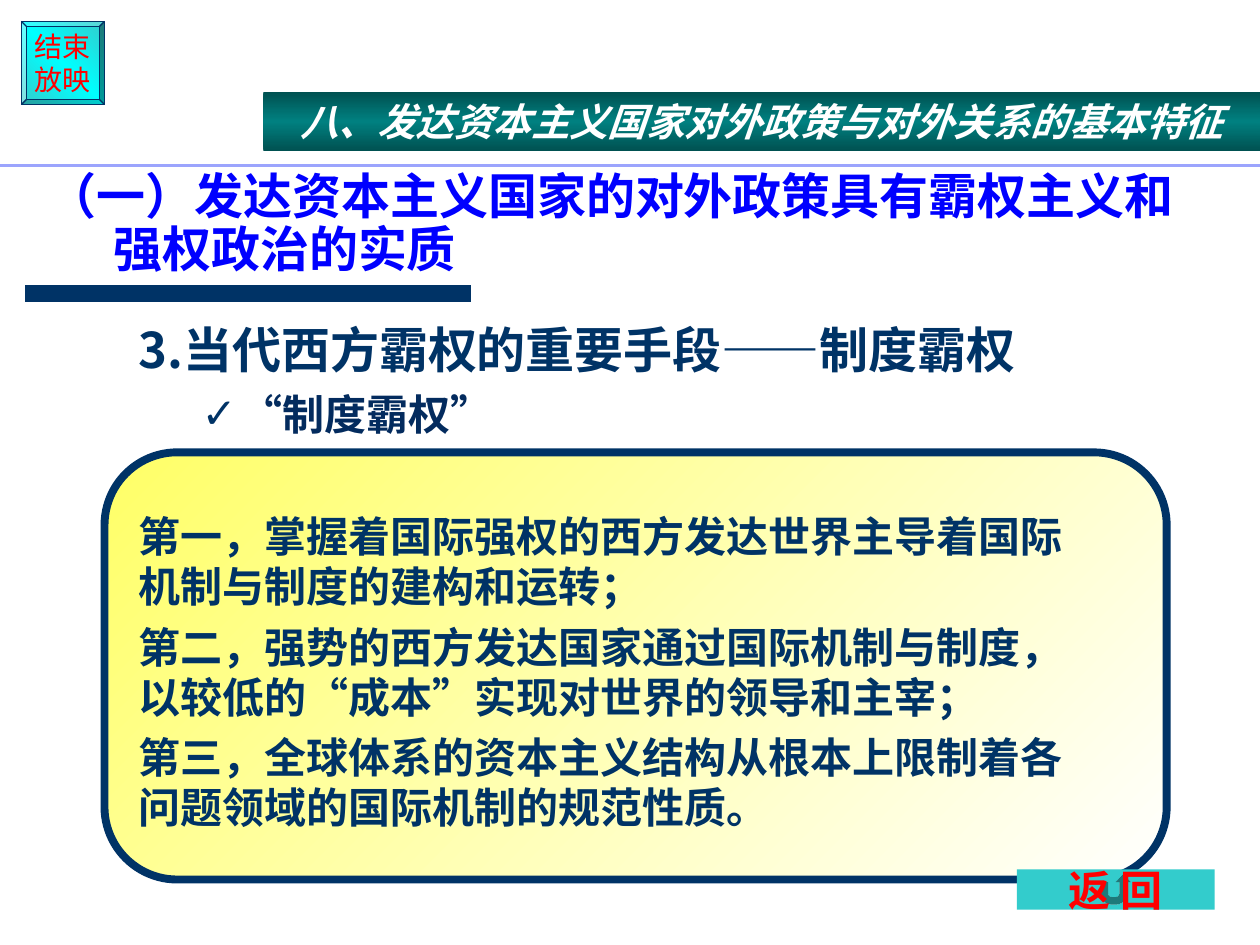
from dataclasses import dataclass
from typing import Optional

from lxml import etree
from pptx import Presentation
from pptx import util as u
from pptx.dml.color import RGBColor
from pptx.enum import shapes, text
from pptx.oxml.ns import qn

COLORS = {
    "navy": "003366", "ink": "032B5E", "blue": "0000FF", "red": "FF0000",
    "white": "FFFFFF", "yellow": "FFFF66", "teal": "33CCCC", "cyan": "00FFFF",
    "green": "008080", "dark_green": "005151", "lilac": "9BA4FD",
}
WIDTH, HEIGHT = u.Inches(10), u.Inches(7.5)
CJK = "Noto Sans CJK SC"
LEADING = 1.19


@dataclass(frozen=True)
class Box:
    """Left, top, width and height in percent of the slide."""
    x: float
    y: float
    w: float
    h: float

    def emu(self) -> tuple[int, int, int, int]:
        """Return the box in EMU."""
        return (int(WIDTH * self.x / 100), int(HEIGHT * self.y / 100),
                int(WIDTH * self.w / 100), int(HEIGHT * self.h / 100))


@dataclass(frozen=True)
class Style:
    """Type settings shared by paragraphs."""
    size: float
    color: str
    font: str = CJK
    bold: bool = True
    italic: bool = False
    align: text.PP_ALIGN = text.PP_ALIGN.LEFT
    before: float = 0
    leading: float = LEADING


@dataclass(frozen=True)
class Panel:
    """A filled preset shape with its text."""
    kind: shapes.MSO_SHAPE
    box: Box
    stops: tuple[str, ...]
    angle: int
    lines: tuple[str, ...]
    style: Style
    border: float = 0
    adjust: Optional[float] = None
    wrap: bool = True
    insets: tuple[float, float] = (0.1, 0.05)


CENTER = text.PP_ALIGN.CENTER
POINTS = (
    "第一，掌握着国际强权的西方发达世界主导着国际机制与制度的建构和运转；",
    "第二，强势的西方发达国家通过国际机制与制度，以较低的“成本”实现对世界的领导和主宰；",
    "第三，全球体系的资本主义结构从根本上限制着各问题领域的国际机制的规范性质。",
)
PANELS = (
    Panel(shapes.MSO_SHAPE.BEVEL, Box(1.7, 2.27, 6.6, 8.8), ("teal", "cyan", "teal"), 135,
          ("结束", "放映"), Style(16, "red", "Arial", False, align=CENTER), 0.75, 0.06, False),
    Panel(shapes.MSO_SHAPE.ROUNDED_RECTANGLE, Box(8.3, 47.87, 84.3, 45.2), ("white", "yellow"), 225,
          POINTS, Style(24, "navy", before=6), 4.5, 0.17, insets=(0.39, 0.14)),
    Panel(shapes.MSO_SHAPE.ACTION_BUTTON_RETURN, Box(80.7, 92, 15.7, 4.27), ("teal",), 0,
          ("返 回",), Style(24, "red", "Arial", align=CENTER), wrap=False),
    Panel(shapes.MSO_SHAPE.RECTANGLE, Box(20.9, 9.73, 79.1, 6.27),
          ("dark_green", "green", "dark_green"), 90,
          ("八、发达资本主义国家对外政策与对外关系的基本特征",),
          Style(22, "white", italic=True, align=CENTER)),
)


def rgb(name: str) -> RGBColor:
    """Look up a palette colour."""
    return RGBColor.from_string(COLORS[name])


def write(p, content: str, style: Style, first: bool = True) -> None:
    """Fill and format one paragraph."""
    p.text = content
    p.alignment = style.align
    p.line_spacing = u.Pt(round(style.size * style.leading, 1))
    p.space_before = u.Pt(0 if first else style.before)
    f = p.font
    f.name, f.size, f.bold, f.italic = style.font, u.Pt(style.size), style.bold, style.italic
    f.color.rgb = rgb(style.color)
    for r in p.runs:
        ea = etree.SubElement(r._r.get_or_add_rPr(), qn("a:ea"))
        ea.set("typeface", CJK)


def indent(p, left: float, hanging: float, bullet: str = "", color: str = "navy") -> None:
    """Set a hanging indent in inches and an optional bullet."""
    pr = p._p.get_or_add_pPr()
    pr.set("marL", str(u.Inches(left)))
    pr.set("indent", str(-u.Inches(hanging)))
    if bullet:
        clr = etree.SubElement(pr, qn("a:buClr"))
        etree.SubElement(clr, qn("a:srgbClr")).set("val", COLORS[color])
        etree.SubElement(pr, qn("a:buChar")).set("char", bullet)
    else:
        etree.SubElement(pr, qn("a:buNone"))


def paint(sp, stops: tuple[str, ...], angle: int) -> None:
    """Fill a shape with one colour or evenly spaced gradient stops."""
    if len(stops) == 1:
        sp.fill.solid()
        sp.fill.fore_color.rgb = rgb(stops[0])
        return
    sp.fill.gradient()
    grad = sp._element.spPr.find(qn("a:gradFill"))
    gs_list = grad.find(qn("a:gsLst"))
    for gs in list(gs_list):
        gs_list.remove(gs)
    for i, name in enumerate(stops):
        gs = etree.SubElement(gs_list, qn("a:gs"), pos=str(100000 * i // (len(stops) - 1)))
        etree.SubElement(gs, qn("a:srgbClr")).set("val", COLORS[name])
    grad.find(qn("a:lin")).set("ang", str(angle * 60000))


def draw_panel(s, panel: Panel) -> None:
    """Draw a panel and its text."""
    sp = s.shapes.add_shape(panel.kind, *panel.box.emu())
    sp.shadow.inherit = False
    if panel.adjust is not None:
        sp.adjustments[0] = panel.adjust
    paint(sp, panel.stops, panel.angle)
    if panel.border:
        sp.line.color.rgb = rgb("navy")
        sp.line.width = u.Pt(panel.border)
    else:
        sp.line.fill.background()
    tf = sp.text_frame
    tf.word_wrap = panel.wrap
    tf.vertical_anchor = text.MSO_ANCHOR.MIDDLE
    tf.margin_left = u.Inches(0.1)
    tf.margin_right, tf.margin_top = map(u.Inches, panel.insets)
    tf.margin_bottom = u.Inches(0.05)
    for i, line in enumerate(panel.lines):
        write(tf.add_paragraph() if i else tf.paragraphs[0], line, panel.style, i == 0)


def draw_rule(s, left: float, right: float, y: float, color: str, width: float) -> None:
    """Draw a horizontal rule placed in percent of the slide."""
    x, top, w, _ = Box(left, y, right - left, 0).emu()
    line = s.shapes.add_connector(shapes.MSO_CONNECTOR.STRAIGHT, x, top, x + w, top)
    line.line.color.rgb = rgb(color)
    line.line.width = u.Pt(width)
    etree.SubElement(line._element.spPr, qn("a:effectLst"))


def place(sp, box: Box, anchor: text.MSO_ANCHOR):
    """Move a placeholder and return its text frame."""
    sp.left, sp.top, sp.width, sp.height = box.emu()
    tf = sp.text_frame
    tf.word_wrap = True
    tf.auto_size = text.MSO_AUTO_SIZE.NONE
    tf.vertical_anchor = anchor
    return tf


def main() -> None:
    """Build the slide."""
    prs = Presentation()
    prs.slide_width, prs.slide_height = WIDTH, HEIGHT
    s = prs.slides.add_slide(prs.slide_layouts[1])

    tf = place(s.shapes.title, Box(2.8, 15.47, 94.5, 14.53), text.MSO_ANCHOR.BOTTOM)
    p = tf.paragraphs[0]
    indent(p, 0.52, 0.52)
    write(p, "（一）发达资本主义国家的对外政策具有霸权主义和\v强权政治的实质",
          Style(28, "blue", leading=1.08))

    tf = place(s.placeholders[1], Box(10, 33.2, 84.1, 14.53), text.MSO_ANCHOR.TOP)
    p = tf.paragraphs[0]
    indent(p, 0.38, 0.38)
    write(p, "3.当代西方霸权的重要手段——制度霸权", Style(28, "navy"))
    p = tf.add_paragraph()
    p.level = 1
    indent(p, 0.81, 0.31, "✓")
    write(p, "“制度霸权”", Style(24, "ink", before=6), first=False)

    draw_rule(s, 2, 37.4, 31.07, "navy", 10)
    for panel in PANELS:
        draw_panel(s, panel)
    draw_rule(s, 0, 100, 17.47, "lilac", 1.75)
    prs.save("out.pptx")


if __name__ == "__main__":
    main()
